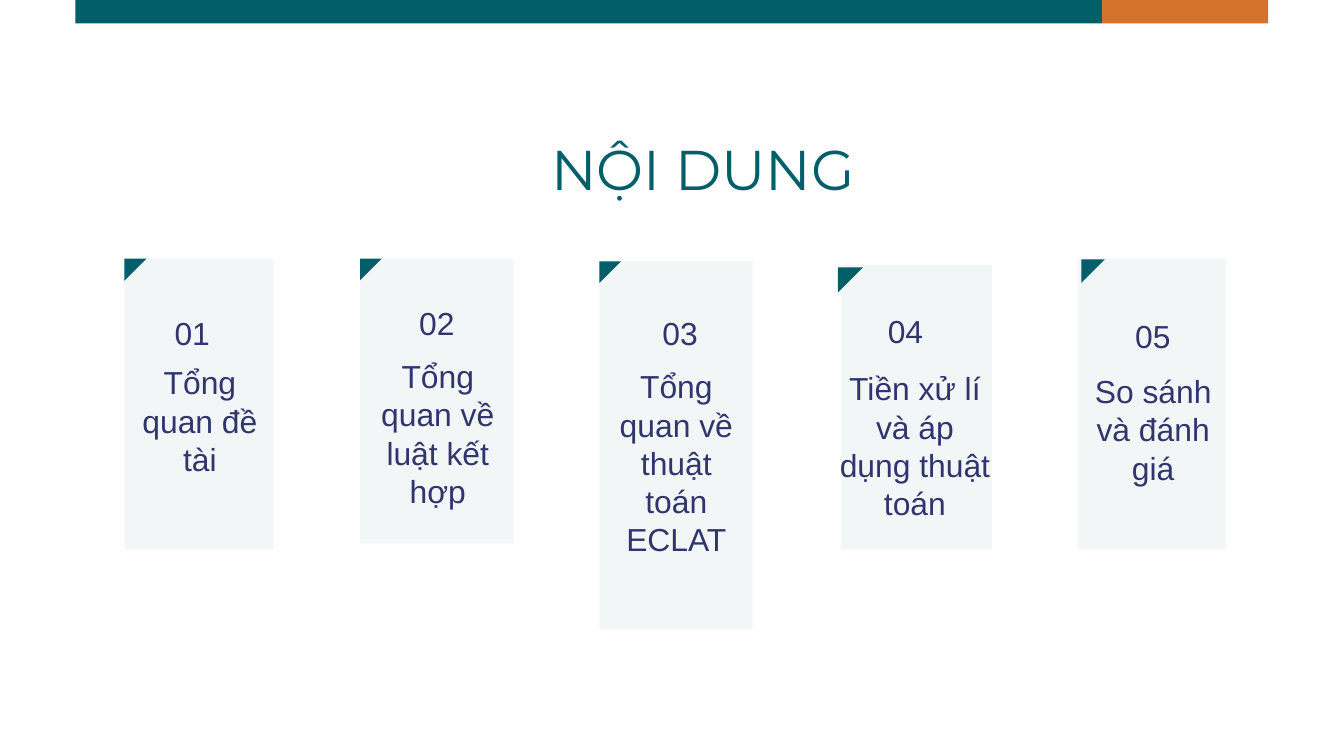
from lxml import etree
from pptx import Presentation
from pptx import util as u
from pptx.dml.color import RGBColor
from pptx.enum import shapes, text
from pptx.oxml.ns import qn

PX = 9144  # 100 px to the inch
COLORS = {"teal": "025F69", "orange": "D6722B", "navy": "31356E"}

deck = Presentation()
deck.slide_width, deck.slide_height = 2000 * PX, 1125 * PX
page = deck.slides.add_slide(deck.slide_layouts[6])


def add_block(left, top, width, height, kind="RECTANGLE", color="teal", opacity=100, turn=0):
    block = page.shapes.add_shape(
        shapes.MSO_SHAPE[kind], *[n * PX for n in (left, top, width, height)])
    block.shadow.inherit = False
    block.rotation = turn
    block.line.fill.background()
    block.fill.solid()
    block.fill.fore_color.rgb = RGBColor.from_string(COLORS[color])
    if opacity < 100:
        tint = block.fill._xPr.find(qn("a:solidFill"))[0]
        etree.SubElement(tint, qn("a:alpha"), val=str(opacity * 1000))


def add_text(words, *, left, top, width, height, size=34.1, leading=41, font="Arial", color="navy"):
    box = page.shapes.add_textbox(*[n * PX for n in (left, top, width, height)])
    frame = box.text_frame
    frame.word_wrap = True
    frame.auto_size = text.MSO_AUTO_SIZE.SHAPE_TO_FIT_TEXT
    frame.margin_left = frame.margin_right = frame.margin_top = frame.margin_bottom = 0
    para = frame.paragraphs[0]
    para.alignment = text.PP_ALIGN.CENTER
    para.line_spacing = u.Pt(leading)
    span = para.add_run()
    span.text = words
    span.font.size = u.Pt(size)
    span.font.name = font
    span.font.color.rgb = RGBColor.from_string(COLORS[color])


# Top band
add_block(112, 0, 1528, 35)
add_block(1640, 0, 247, 35, color="orange")

# Title
add_text("NỘI DUNG", left=637, top=190, width=818, height=107,
         size=60, leading=79.2, font="Montserrat", color="teal")

# Cards: panel box, corner (left, top, side), number box, topic box
cards = [
    ("01", "Tổng quan đề tài",
     (185, 385, 222, 433), (185, 385, 33), (195, 466, 182, 55), (195, 540, 205, 111)),
    ("02", "Tổng quan về luật kết hợp",
     (536, 385, 228, 424), (536, 385, 32), (564, 452, 172, 55), (553, 531, 197, 223)),
    ("03", "Tổng quan về thuật toán ECLAT",
     (892, 389, 228, 547), (892, 389, 32), (926, 466, 172, 55), (908, 546, 197, 335)),
    ("04", "Tiền xử lí và áp dụng thuật toán",
     (1252, 394, 224, 424), (1247, 398, 37), (1247, 464, 201, 56), (1247, 549, 229, 170)),
    ("05", "So sánh và đánh giá",
     (1604, 385, 220, 433), (1609, 386, 35), (1632, 471, 167, 56), (1605, 553, 222, 111)),
]
for number, topic, panel, (left, top, side), number_box, topic_box in cards:
    add_block(*panel, opacity=5)
    add_block(left, top, side, side, kind="RIGHT_TRIANGLE", turn=90)
    for words, place in ((topic, topic_box), (number, number_box)):
        add_text(words, **dict(zip(("left", "top", "width", "height"), place)))

deck.save("out.pptx")
